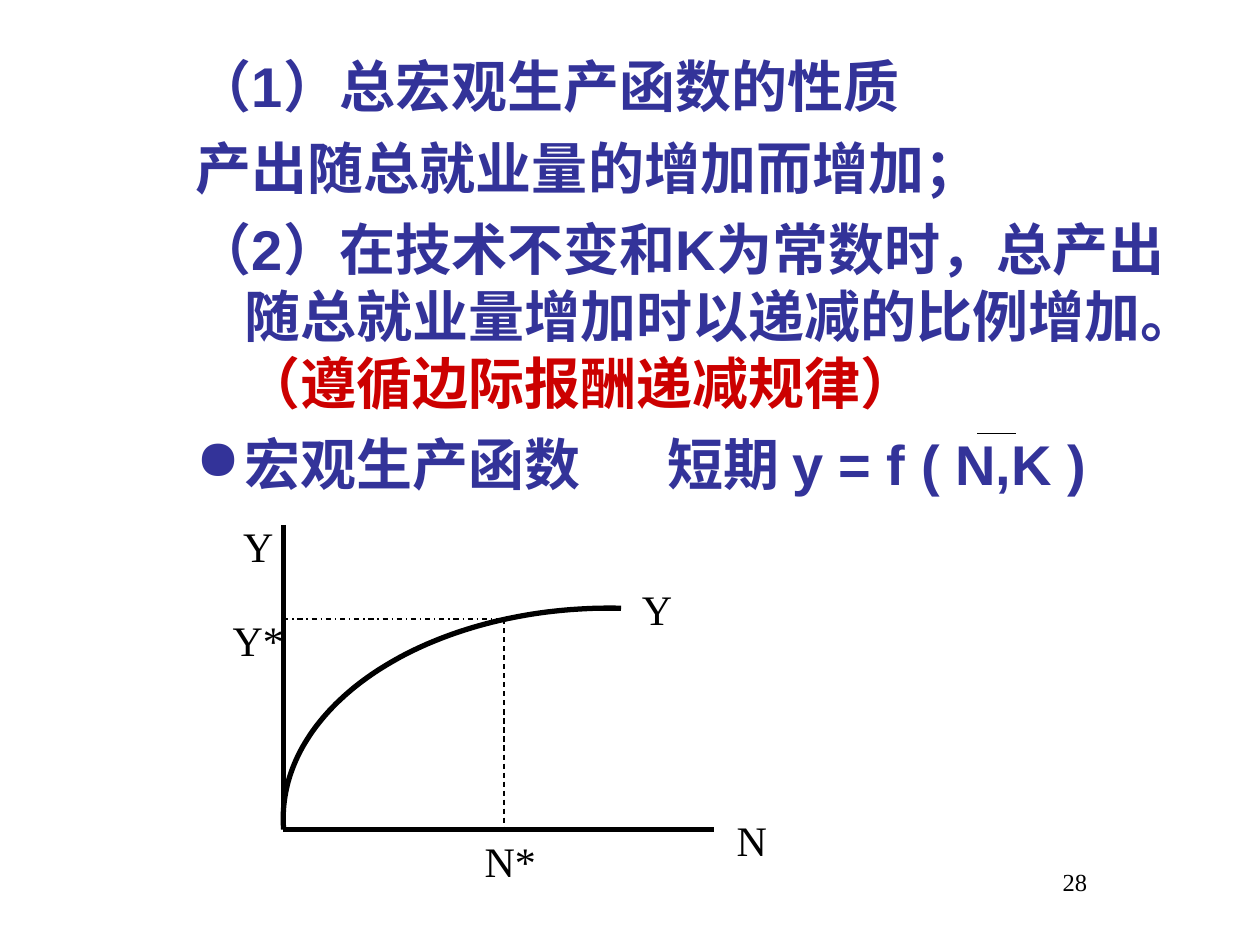
from math import cos, radians, sin

from lxml import etree
from pptx import Presentation
from pptx.dml.color import RGBColor
from pptx.enum.dml import MSO_LINE
from pptx.enum.shapes import MSO_CONNECTOR
from pptx.oxml.ns import qn
from pptx.util import Cm, Pt

STRAIGHT = MSO_CONNECTOR.STRAIGHT
DASH, DASH_DOT = MSO_LINE.DASH, MSO_LINE.DASH_DOT
BLUE, RED, BLACK = "333399", "CC0000", "000000"
HANGING = 0.97


def color(value):
    return RGBColor.from_string(value)


def add_text_box(slide, left, top, width, height):
    frame = slide.shapes.add_textbox(Cm(left), Cm(top), Cm(width), Cm(height)).text_frame
    frame.word_wrap = True
    return frame


def add_run(paragraph, text, size=24, font="Times New Roman", fill=BLACK, bold=False):
    run = paragraph.add_run()
    run.text = text
    run.font.size = Pt(size)
    run.font.name = font
    run.font.bold = bold
    run.font.color.rgb = color(fill)


def add_label(slide, text, left, top, width, **text_format):
    frame = add_text_box(slide, left, top, width, 1.27)
    add_run(frame.paragraphs[0], text, **text_format)


def add_line(slide, start, end, width=0.75, dash=None):
    line = slide.shapes.add_connector(STRAIGHT, *(Cm(value) for value in (*start, *end)))
    line.line.color.rgb = color(BLACK)
    line.line.width = Pt(width)
    if dash:
        line.line.dash_style = dash
    etree.SubElement(line._element.spPr, qn("a:effectLst"))


def set_hanging_indent(paragraph, bullet=None, tab=None):
    properties = paragraph._p.get_or_add_pPr()
    properties.set("marL", str(Cm(HANGING)))
    properties.set("indent", str(-Cm(HANGING)))
    if bullet:
        bullet_color = etree.SubElement(properties, qn("a:buClr"))
        etree.SubElement(bullet_color, qn("a:srgbClr"), val=BLUE)
        etree.SubElement(properties, qn("a:buChar"), char=bullet)
    else:
        etree.SubElement(properties, qn("a:buNone"))
    if tab:
        tabs = etree.SubElement(properties, qn("a:tabLst"))
        etree.SubElement(tabs, qn("a:tab"), pos=str(Cm(tab)), algn="l")


def add_body(slide, left, top, width, height):
    frame = add_text_box(slide, left, top, width, height)
    items = [
        ([("（1）总宏观生产函数的性质", BLUE)], {}),
        ([("产出随总就业量的增加而增加；", BLUE)], {}),
        ([("（2）在技术不变和K为常数时，总产出随总就业量增加时以递减的比例增加。", BLUE),
          ("（遵循边际报酬递减规律）", RED)], {}),
        ([("宏观生产函数\t短期 y = f ( N,K )", BLUE)], {"bullet": "●", "tab": 9.5}),
    ]
    for index, (runs, layout) in enumerate(items):
        paragraph = frame.add_paragraph() if index else frame.paragraphs[0]
        set_hanging_indent(paragraph, **layout)
        if index:
            paragraph.space_before = Pt(8)
        for text, fill in runs:
            add_run(paragraph, text, size=32, font="Arial", fill=fill, bold=True)
    # Bar over the constant in the formula
    bar_y = top + 7.82
    add_line(slide, (left + 16, bar_y), (left + 16.79, bar_y))


def add_output_curve(slide, left, top):
    """Draw a quarter ellipse, slightly extended at both ends."""
    radius_x, radius_y = 6.58, 4.24
    center_x, center_y = left + radius_x, top + 5.92
    points = [
        (Cm(center_x - radius_x * cos(radians(angle))),
         Cm(center_y - radius_y * sin(radians(angle))))
        for angle in range(-3, 93)
    ]
    builder = slide.shapes.build_freeform(*points[0])
    builder.add_line_segments(points[1:], close=False)
    curve = builder.convert_to_shape()
    curve.shadow.inherit = False
    curve.fill.background()
    curve.line.color.rgb = color(BLACK)
    curve.line.width = Pt(3)


def add_graph(slide, left, top, width, height):
    bottom = top + height
    employment_x, output_y = left + 4.45, top + 1.9
    add_line(slide, (left, top), (left, bottom), width=3)
    add_line(slide, (left, bottom), (left + width, bottom), width=3)
    add_output_curve(slide, left, top)
    add_line(slide, (employment_x, output_y), (employment_x, bottom), dash=DASH)
    add_line(slide, (left, output_y), (employment_x, output_y), dash=DASH_DOT)
    labels = [
        ("N", 8.89, 5.72, 1.48),
        ("Y", 6.98, 1.06, 2.54),
        ("Y", -1.06, -0.21, 1.27),
        ("N*", 3.81, 6.14, 2.54),
        ("Y*", -1.27, 1.69, 1.9),
    ]
    for text, offset_x, offset_y, label_width in labels:
        add_label(slide, text, left + offset_x, top + offset_y, label_width)


def main():
    presentation = Presentation()
    presentation.slide_width, presentation.slide_height = Cm(25.4), Cm(19.05)
    slide = presentation.slides.add_slide(presentation.slide_layouts[6])
    add_body(slide, 3.7, 0.92, 21, 16)
    add_label(slide, "28", 21.17, 17.35, 4.23, size=14)
    add_graph(slide, 5.71, 10.58, 8.68, 6.14)
    presentation.save("out.pptx")


if __name__ == "__main__":
    main()
